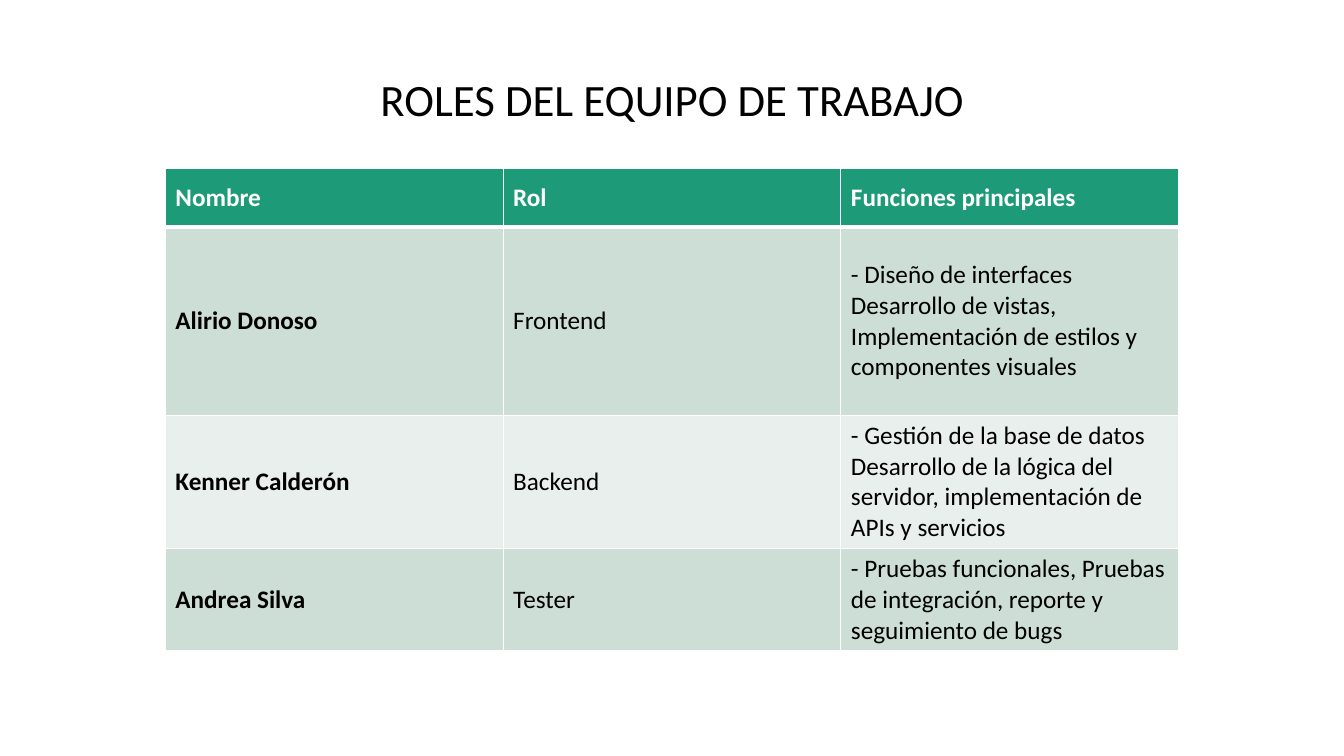
import pptx
import pptx.util
import pptx.dml.color
import pptx.enum.text
import pptx.oxml.ns
import lxml.etree

Inches = pptx.util.Inches
Pt = pptx.util.Pt

COLORS = {
    "background": "FFFFFF",
    "header": "1D9A78",
    "band_dark": "CDDED6",
    "band_light": "E8EFEC",
    "text": "000000",
    "white": "FFFFFF",
}

ROLES = [
    ("Nombre", "Rol", "Funciones principales"),
    ("Alirio Donoso", "Frontend",
     "- Diseño de interfaces Desarrollo de vistas, Implementación de estilos "
     "y componentes visuales"),
    ("Kenner Calderón", "Backend",
     "- Gestión de la base de datos Desarrollo de la lógica del servidor, "
     "implementación de APIs y servicios"),
    ("Andrea Silva", "Tester",
     "- Pruebas funcionales, Pruebas de integración, reporte y seguimiento "
     "de bugs"),
]
ROW_HEIGHTS = [0.58, 1.87, 1.32, 1.01]
COLUMN_WIDTH = 3.35


class SlideBuilder:
    def __init__(self, prs, font):
        self.s = prs.slides.add_slide(prs.slide_layouts[5])
        self.font = font
        fill = self.s.background.fill
        fill.solid()
        fill.fore_color.rgb = self.color("background")

    def color(self, name):
        return pptx.dml.color.RGBColor.from_string(COLORS[name])

    def add_text(self, p, text, size, color, bold=False):
        r = p.add_run()
        r.text = text
        r.font.name = self.font
        r.font.size = Pt(size)
        r.font.bold = bold
        r.font.color.rgb = self.color(color)

    def title(self, text, left, top, width, height):
        sp = self.s.shapes.title
        sp.left, sp.top = Inches(left), Inches(top)
        sp.width, sp.height = Inches(width), Inches(height)
        tf = sp.text_frame
        tf.word_wrap = True
        tf.auto_size = pptx.enum.text.MSO_AUTO_SIZE.NONE
        tf.vertical_anchor = pptx.enum.text.MSO_ANCHOR.MIDDLE
        p = tf.paragraphs[0]
        p.alignment = pptx.enum.text.PP_ALIGN.CENTER
        self.add_text(p, text, 32, "text")

    def borders(self, cell, top, bottom):
        qn = pptx.oxml.ns.qn
        tcPr = cell._tc.get_or_add_tcPr()
        for side, width in (("L", 1), ("R", 1), ("T", top), ("B", bottom)):
            ln = lxml.etree.SubElement(tcPr, qn(f"a:ln{side}"), w=str(Pt(width)))
            fill = lxml.etree.SubElement(ln, qn("a:solidFill"))
            lxml.etree.SubElement(fill, qn("a:srgbClr"), val=COLORS["white"])

    def table(self, rows, left, top, column_width, row_heights):
        columns = len(rows[0])
        table = self.s.shapes.add_table(
            len(rows), columns, Inches(left), Inches(top),
            Inches(column_width * columns), Inches(sum(row_heights))).table
        for column in table.columns:
            column.width = Inches(column_width)
        for i, (row, height) in enumerate(zip(rows, row_heights)):
            table.rows[i].height = Inches(height)
            header = i == 0
            band = "header" if header else "band_dark" if i % 2 else "band_light"
            for j, text in enumerate(row):
                cell = table.cell(i, j)
                self.borders(cell, 3 if i == 1 else 1, 3 if header else 1)
                cell.fill.solid()
                cell.fill.fore_color.rgb = self.color(band)
                cell.vertical_anchor = pptx.enum.text.MSO_ANCHOR.MIDDLE
                self.add_text(cell.text_frame.paragraphs[0], text, 18,
                              "white" if header else "text", header or j == 0)


def main():
    prs = pptx.Presentation()
    prs.slide_width = Inches(13.33)
    prs.slide_height = Inches(7.5)
    slide = SlideBuilder(prs, "Calibri")
    slide.table(ROLES, 1.64, 1.67, COLUMN_WIDTH, ROW_HEIGHTS)
    slide.title("ROLES DEL EQUIPO DE TRABAJO", 3.36, 0.66, 6.62, 0.64)
    prs.save("out.pptx")


if __name__ == "__main__":
    main()
